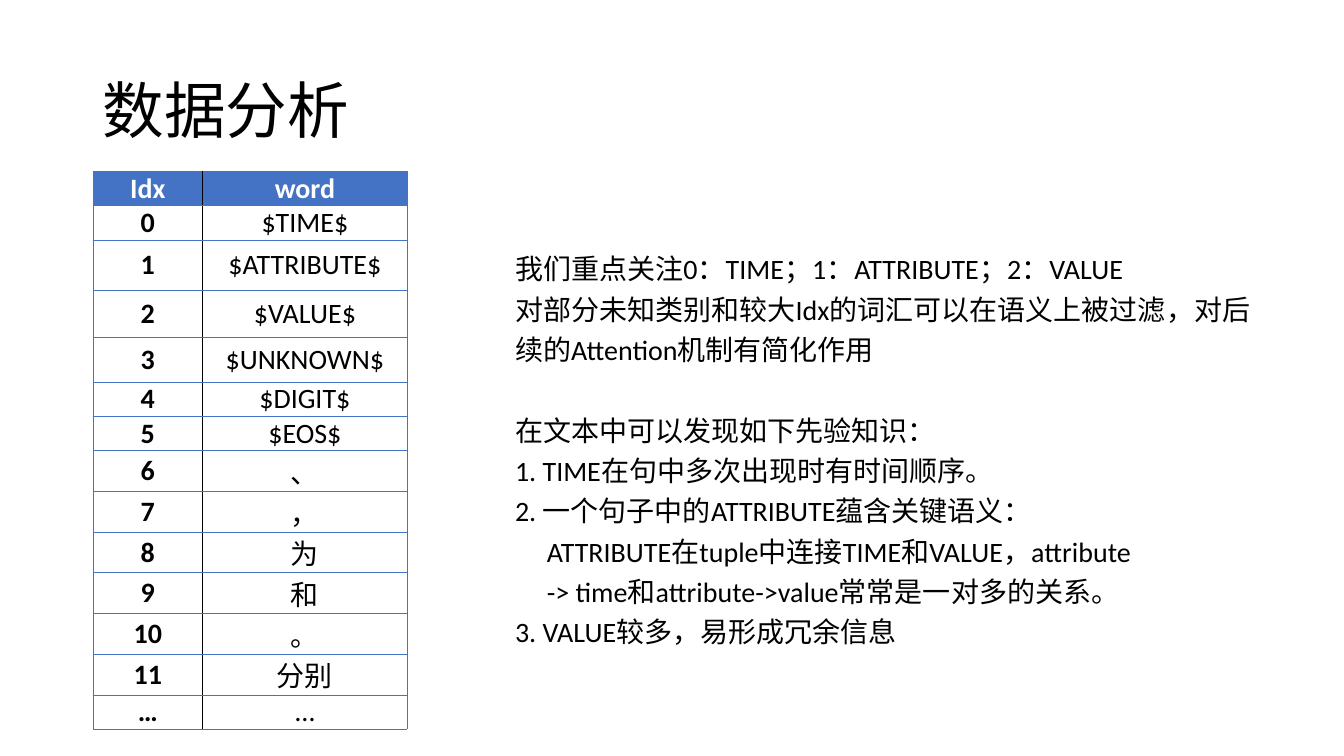
from lxml.etree import SubElement
from pptx import Presentation
from pptx.dml.color import RGBColor
from pptx.enum.lang import MSO_LANGUAGE_ID as Lang
from pptx.enum.text import MSO_ANCHOR as Anchor, PP_ALIGN as Align
from pptx.oxml.ns import qn
from pptx.util import Cm, Pt

# Content
TITLE = "数据分析"
HEADER = ("Idx", "word")
WORDS = ["$TIME$", "$ATTRIBUTE$", "$VALUE$", "$UNKNOWN$", "$DIGIT$", "$EOS$",
         "、", "，", "为", "和", "。", "分别"]
NOTES = [  # text, indent in cm, space before in cm
    ("我们重点关注0：TIME；1：ATTRIBUTE；2：VALUE", 0, 0),
    ("对部分未知类别和较大Idx的词汇可以在语义上被过滤，对后续的Attention机制有简化作用", 0, 0),
    ("在文本中可以发现如下先验知识：", 0, 1.02),
    ("1. TIME在句中多次出现时有时间顺序。", 0, 0),
    ("2. 一个句子中的ATTRIBUTE蕴含关键语义：", 0, 0),
    ("ATTRIBUTE在tuple中连接TIME和VALUE，attribute", 0.8, 0),
    ("-> time和attribute->value常常是一对多的关系。", 0.8, 0),
    ("3. VALUE较多，易形成冗余信息", 0, 0),
]

# Format
BLUE, BLACK, WHITE = "4472C4", "000000", "FFFFFF"
COL_WIDTHS = (2.77, 5.15)
ROW_HEIGHT = 0.84
TALL_ROWS = {2: 1.27, 3: 1.17, 4: 1.14}


def rgb(value):
    return RGBColor.from_string(value)


def write(p, text, size=20, color=BLACK, bold=False, align=None,
          spacing=None, indent=0, before=0):
    p.alignment = align
    p.line_spacing = spacing
    p.space_before = Cm(before)
    if indent:
        p._p.get_or_add_pPr().set("marL", str(Cm(indent)))
    r = p.add_run()
    r.text = text
    font = r.font
    font.name, font.size, font.bold = "Calibri", Pt(size), bold
    font.color.rgb = rgb(color)
    font.language_id = Lang.SIMPLIFIED_CHINESE


def add_box(left, top, width, height, anchor):
    tf = s.shapes.add_textbox(Cm(left), Cm(top), Cm(width), Cm(height)).text_frame
    tf.word_wrap = True
    tf.vertical_anchor = anchor
    return tf


def set_borders(cell, **sides):
    tcPr = cell._tc.get_or_add_tcPr()
    for i, (side, (color, width)) in enumerate(sides.items()):
        ln = SubElement(tcPr, qn(f"a:ln{side}"), w=str(Pt(width)))
        SubElement(SubElement(ln, qn("a:solidFill")), qn("a:srgbClr"), val=color)
        tcPr.insert(i, ln)


prs = Presentation()
prs.slide_width, prs.slide_height = Cm(33.87), Cm(19.05)
s = prs.slides.add_slide(prs.slide_layouts[6])

# Word index table
rows = [HEADER, *((str(i), word) for i, word in enumerate(WORDS)), ("…", "…")]
heights = [TALL_ROWS.get(i, ROW_HEIGHT) for i in range(len(rows))]
table = s.shapes.add_table(len(rows), len(HEADER), Cm(2.34), Cm(4.32),
                           Cm(sum(COL_WIDTHS)), Cm(sum(heights))).table
for col, width in zip(table.columns, COL_WIDTHS):
    col.width = Cm(width)
outer, divider = (BLUE, 0.5), (BLACK, 1)
for i, (row, height) in enumerate(zip(rows, heights)):
    table.rows[i].height = Cm(height)
    for j, text in enumerate(row):
        cell = table.cell(i, j)
        cell.vertical_anchor = Anchor.MIDDLE
        cell.margin_left = cell.margin_right = Cm(0.18)
        cell.margin_top = cell.margin_bottom = 0
        cell.fill.solid()
        cell.fill.fore_color.rgb = rgb(BLUE if i == 0 else WHITE)
        set_borders(cell, L=divider if j else outer, R=outer if j else divider,
                    T=outer, B=outer)
        write(cell.text_frame.paragraphs[0], text, align=Align.CENTER,
              color=WHITE if i == 0 else BLACK, bold=i == 0 or j == 0)

# Notes
tf = add_box(12.73, 6.05, 19.1, 10.52, Anchor.TOP)
for i, (text, indent, before) in enumerate(NOTES):
    p = tf.add_paragraph() if i else tf.paragraphs[0]
    write(p, text, spacing=1.2, indent=indent, before=before)

# Title
tf = add_box(2.34, 1.02, 29.21, 3.68, Anchor.MIDDLE)
write(tf.paragraphs[0], TITLE, size=44, spacing=0.9)

prs.save("out.pptx")
